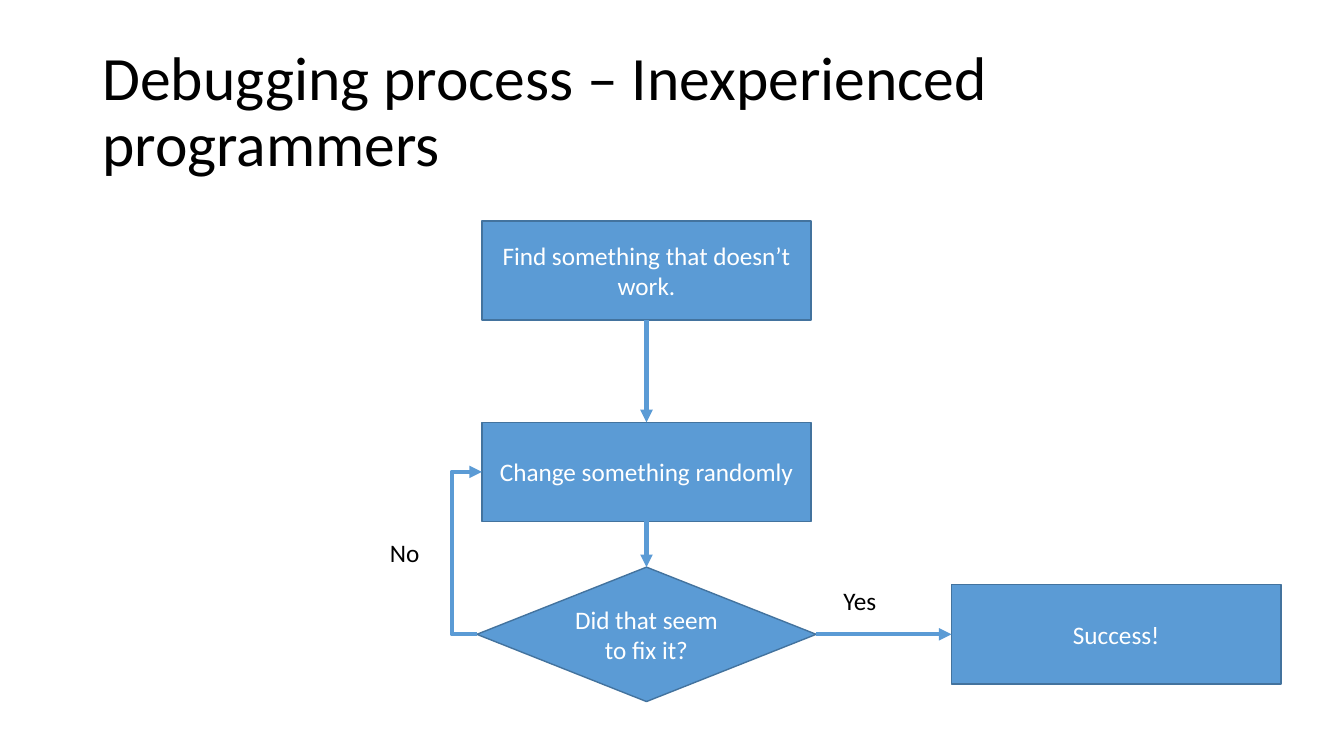
"""Build the debugging flow chart slide."""
from dataclasses import dataclass

from lxml import etree
from pptx import Presentation
from pptx.dml.color import RGBColor
from pptx.enum.shapes import MSO_CONNECTOR, MSO_SHAPE
from pptx.enum.text import MSO_ANCHOR, MSO_AUTO_SIZE, PP_ALIGN
from pptx.oxml.ns import qn
from pptx.shapes.autoshape import Shape
from pptx.slide import Slide
from pptx.text.text import TextFrame
from pptx.util import Pt

PROCESS = MSO_SHAPE.FLOWCHART_PROCESS
CHOICE = MSO_SHAPE.FLOWCHART_DECISION
STRAIGHT, ELBOW = MSO_CONNECTOR.STRAIGHT, MSO_CONNECTOR.ELBOW
MIDDLE, TOP_EDGE = MSO_ANCHOR.MIDDLE, MSO_ANCHOR.TOP
LEFT_ALIGN, CENTER = PP_ALIGN.LEFT, PP_ALIGN.CENTER
NO_FIT, GROW = MSO_AUTO_SIZE.NONE, MSO_AUTO_SIZE.SHAPE_TO_FIT_TEXT

COLORS = {"fill": "5B9BD5", "edge": "43739E", "light": "FFFFFF", "dark": "000000"}
FONT = "Calibri"
TOP, LEFT, BOTTOM, RIGHT = range(4)
MID_X, LOW_Y = 461.8, 453.1
BOX_W, BOX_H = 235.2, 70.8
RHOMB_W, RHOMB_H = 242.4, 96
LOOP_GAP = 18


@dataclass
class Step:
    """A flow chart shape placed by its centre."""
    text: str
    x: float
    y: float
    wide: float = BOX_W
    high: float = BOX_H
    kind: MSO_SHAPE = PROCESS


@dataclass
class Link:
    """An arrow between the sides of two steps."""
    start: str
    out: int
    end: str
    into: int
    bend: float = 0


@dataclass
class Label:
    """A word beside an arrow."""
    text: str
    left: float
    top: float
    wide: float


STEPS = {
    "find": Step("Find something that doesn’t work.", MID_X, 193.2),
    "change": Step("Change something randomly", MID_X, 337.1),
    "check": Step("Did that seem to fix it?", MID_X, LOW_Y, RHOMB_W, RHOMB_H, CHOICE),
    "done": Step("Success!", 797.3, LOW_Y),
}
LINKS = [
    Link("find", BOTTOM, "change", TOP),
    Link("check", LEFT, "change", LEFT, -2 * LOOP_GAP / (RHOMB_W - BOX_W)),
    Link("change", BOTTOM, "check", TOP),
    Link("check", RIGHT, "done", LEFT),
]
LABELS = [Label("Yes", 595.4, 414.8, 38.2), Label("No", 271.5, 380.3, 36)]


def tint(key: str) -> RGBColor:
    """Return a named colour."""
    return RGBColor.from_string(COLORS[key])


def set_text(frame: TextFrame, text: str, size: float, color: str,
             align: PP_ALIGN, anchor: MSO_ANCHOR) -> None:
    """Fill a text frame with one styled paragraph."""
    frame.text = text
    frame.vertical_anchor = anchor
    para = frame.paragraphs[0]
    para.alignment = align
    para.font.name = FONT
    para.font.size = Pt(size)
    para.font.color.rgb = tint(color)


def add_title(slide: Slide, text: str) -> None:
    """Place and style the slide title."""
    title = slide.shapes.title
    title.left, title.top = Pt(66), Pt(28.75)
    title.width, title.height = Pt(828), Pt(104.4)
    set_text(title.text_frame, text, 44, "dark", LEFT_ALIGN, MIDDLE)
    title.text_frame.auto_size = NO_FIT
    title.text_frame.paragraphs[0].line_spacing = 0.9


def add_step(slide: Slide, step: Step) -> Shape:
    """Draw one step."""
    shape = slide.shapes.add_shape(
        step.kind, Pt(step.x - step.wide / 2), Pt(step.y - step.high / 2),
        Pt(step.wide), Pt(step.high))
    shape.shadow.inherit = False
    shape.fill.solid()
    shape.fill.fore_color.rgb = tint("fill")
    shape.line.color.rgb = tint("edge")
    shape.line.width = Pt(1)
    set_text(shape.text_frame, step.text, 18, "light", CENTER, MIDDLE)
    shape.text_frame.word_wrap = True
    return shape


def add_link(slide: Slide, link: Link, shapes: dict[str, Shape]) -> None:
    """Draw one arrow joined to its steps."""
    kind = ELBOW if link.bend else STRAIGHT
    arrow = slide.shapes.add_connector(kind, Pt(0), Pt(0), Pt(0), Pt(0))
    arrow.begin_connect(shapes[link.start], link.out)
    arrow.end_connect(shapes[link.end], link.into)
    arrow.line.color.rgb = tint("fill")
    arrow.line.width = Pt(3)
    props = arrow.element.spPr
    etree.SubElement(props.find(qn("a:ln")), qn("a:tailEnd"), type="triangle")
    etree.SubElement(props, qn("a:effectLst"))
    if link.bend:
        guides = props.find(qn("a:prstGeom")).find(qn("a:avLst"))
        etree.SubElement(guides, qn("a:gd"), name="adj1",
                         fmla=f"val {round(link.bend * 100000)}")


def add_label(slide: Slide, label: Label) -> None:
    """Write one arrow label."""
    box = slide.shapes.add_textbox(
        Pt(label.left), Pt(label.top), Pt(label.wide), Pt(29))
    set_text(box.text_frame, label.text, 18, "dark", LEFT_ALIGN, TOP_EDGE)
    box.text_frame.word_wrap = False
    box.text_frame.auto_size = GROW


def main() -> None:
    """Build and save the deck."""
    deck = Presentation()
    deck.slide_width, deck.slide_height = Pt(960), Pt(540)
    slide = deck.slides.add_slide(deck.slide_layouts[5])
    add_title(slide, "Debugging process – Inexperienced programmers")
    shapes = {name: add_step(slide, step) for name, step in STEPS.items()}
    for link in LINKS:
        add_link(slide, link, shapes)
    for label in LABELS:
        add_label(slide, label)
    deck.save("out.pptx")


if __name__ == "__main__":
    main()
